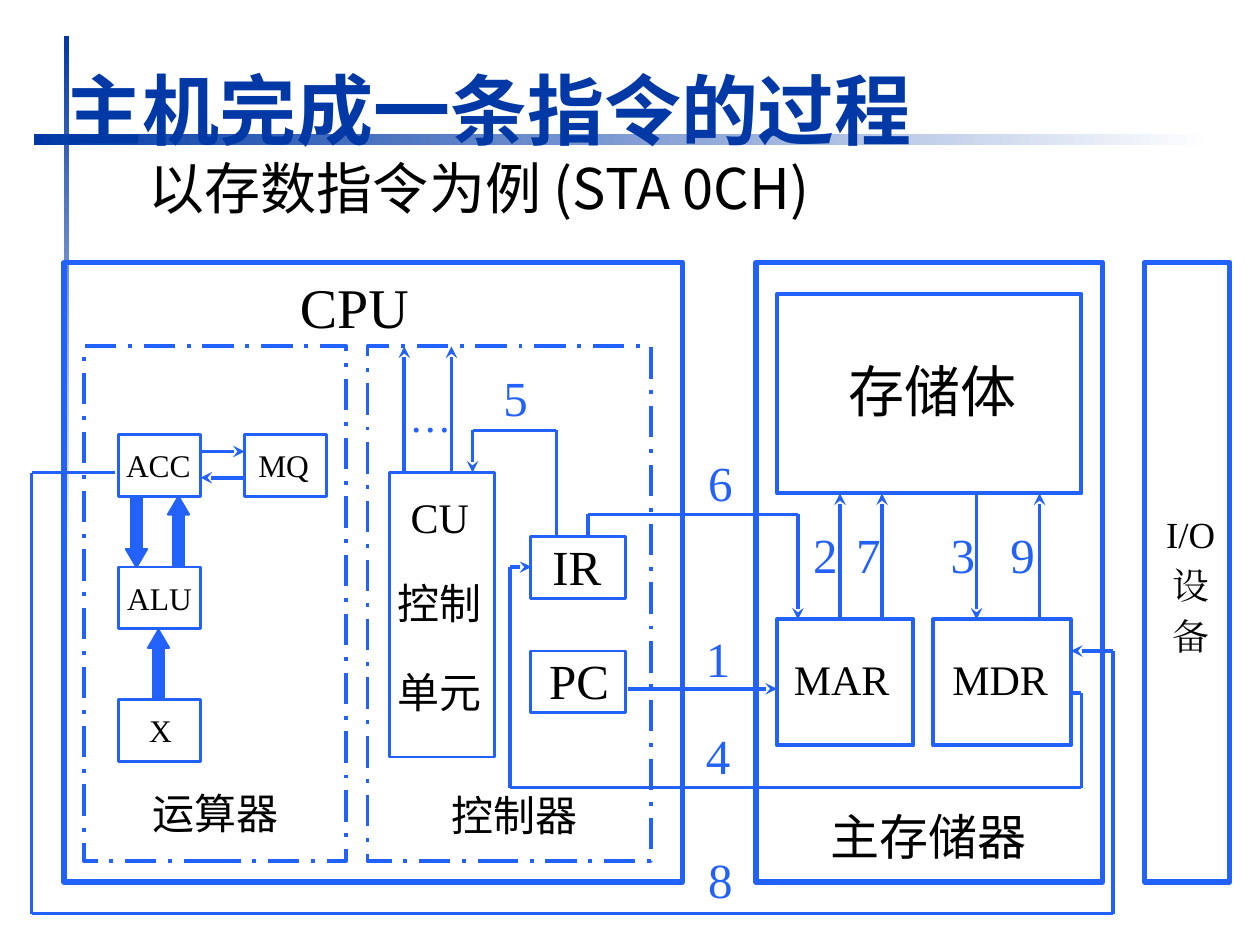
from itertools import pairwise

from lxml.etree import SubElement
from pptx import Presentation
from pptx.dml.color import RGBColor
from pptx.enum.dml import MSO_LINE
from pptx.enum.shapes import MSO_CONNECTOR, MSO_SHAPE
from pptx.enum.text import MSO_ANCHOR, MSO_AUTO_SIZE, PP_ALIGN
from pptx.oxml.ns import qn
from pptx.util import Inches, Pt

COLORS = {"navy": "0039A6", "blue": "2261FA", "black": "000000", "white": "FFFFFF"}
CJK, LATIN = "Noto Sans CJK SC", "Times New Roman"
COLUMNS, ROWS = 120, 90


def color(name):
    return RGBColor.from_string(COLORS[name])


def write(frame, text, size=24, font=LATIN, ink="black", bold=False,
          align=PP_ALIGN.LEFT, inset=True, wrap=True):
    """Fill a text frame, one paragraph per line of text."""
    frame.word_wrap = wrap
    frame.auto_size = MSO_AUTO_SIZE.SHAPE_TO_FIT_TEXT
    frame.vertical_anchor = MSO_ANCHOR.TOP
    if not inset:
        frame.margin_left = frame.margin_right = frame.margin_top = frame.margin_bottom = 0
    for index, line in enumerate(text.split("\n")):
        paragraph = frame.add_paragraph() if index else frame.paragraphs[0]
        paragraph.alignment = align
        paragraph.space_before = Pt(size * 0.2 if index else 0)
        run = paragraph.add_run()
        run.text = line
        run.font.size, run.font.name, run.font.bold = Pt(size), font, bold
        run.font.color.rgb = color(ink)
        SubElement(run.font._element, qn("a:ea")).set("typeface", font)


class Diagram:
    """A slide on a grid of COLUMNS by ROWS, with its drawing style."""

    def __init__(self, deck):
        self.slide = deck.slides.add_slide(deck.slide_layouts[5])
        self.shapes = self.slide.shapes
        self.column = deck.slide_width / COLUMNS
        self.row = deck.slide_height / ROWS

    def at(self, x, y):
        return round(x * self.column), round(y * self.row)

    def place(self, box):
        return *self.at(*box[:2]), *self.at(*box[2:])

    def title(self, text, box, **style):
        title = self.shapes.title
        title.left, title.top, title.width, title.height = self.place(box)
        write(title.text_frame, text, **style)

    def label(self, text, box, **style):
        write(self.shapes.add_textbox(*self.place(box)).text_frame, text, **style)

    def bar(self, box, angle):
        """Fading bar that lies behind everything else."""
        bar = self.shapes.add_shape(MSO_SHAPE.RECTANGLE, *self.place(box))
        bar.shadow.inherit = False
        bar.line.fill.background()
        bar.fill.gradient()
        bar.fill.gradient_angle = angle
        for stop, name, position in zip(bar.fill.gradient_stops, ("navy", "white"), (0, 1)):
            stop.color.rgb, stop.position = color(name), position
        self.shapes._spTree.insert(2, bar._element)

    def frame(self, box, weight, dash=None):
        frame = self.shapes.add_shape(MSO_SHAPE.RECTANGLE, *self.place(box))
        frame.shadow.inherit = False
        frame.fill.background()
        frame.line.color.rgb, frame.line.width = color("blue"), Pt(weight)
        if dash:
            frame.line.dash_style = dash

    def route(self, *stops):
        """Straight segments through the stops, with an arrowhead at the last."""
        for start, end in pairwise(stops):
            segment = self.shapes.add_connector(
                MSO_CONNECTOR.STRAIGHT, *self.at(*start), *self.at(*end))
            segment.line.color.rgb, segment.line.width = color("blue"), Pt(2.25)
            SubElement(segment._element.spPr, qn("a:effectLst"))
        SubElement(segment.line._get_or_add_ln(), qn("a:tailEnd")).set("type", "stealth")

    def block_arrow(self, x, tail, tip):
        neck = tip + (1.7 if tail > tip else -1.7)
        outline = [(x - 1, neck), (x - 0.5, neck), (x - 0.5, tail), (x + 0.5, tail),
                   (x + 0.5, neck), (x + 1, neck), (x, tip)]
        start, *rest = [self.at(*point) for point in outline]
        builder = self.shapes.build_freeform(*start)
        builder.add_line_segments(rest, close=True)
        arrow = builder.convert_to_shape()
        arrow.shadow.inherit = False
        arrow.fill.solid()
        arrow.fill.fore_color.rgb = arrow.line.color.rgb = color("blue")
        arrow.line.width = Pt(1.25)


FRAMES = {
    3: [(6.1, 25, 58.9, 59), (72, 25, 33, 59), (109, 25, 8.1, 59)],
    2.25: [(74, 28, 29, 19), (74, 59, 13, 12), (88.9, 59, 13.1, 12)],
    1.63: [(37.1, 45, 10, 27.1)]
    + [(50.5, y, 9.1, 5.9) for y in (51.1, 62)]
    + [(x, y, 7.8, 5.9) for x, y in ((11.3, 41.4), (23.3, 41.4), (11.3, 54), (11.3, 66.6))],
}
UNITS = [(8, 33, 25, 49), (35, 33, 27, 49)]

ROUTES = [
    [(59.8, 65.6), (74, 65.6)],
    [(80, 59), (80, 47)],
    [(93, 47), (93, 59)],
    [(102, 66), (103, 66), (103, 75), (48.6, 75), (48.6, 54), (50.6, 54)],
    [(53, 51), (53, 41), (45, 41), (45, 45)],
    [(56, 51), (56, 49), (76, 49), (76, 59)],
    [(84, 59), (84, 47)],
    [(11, 45), (3, 45), (3, 87), (106, 87), (106, 62), (102, 62)],
    [(99, 59), (99, 47)],
    [(38.5, 45), (38.5, 33)],
    [(43, 45), (43, 33)],
    [(19.1, 43), (23.3, 43)],
    [(23.3, 45.5), (19.1, 45.5)],
]
STEPS = [(66, 59.3), (76.2, 49.4), (89.3, 49.4), (66, 68.5), (46.7, 34.4),
         (66.2, 42.5), (80.3, 49.4), (66.2, 80.3), (95, 49.4)]

# text, box, size, font
LABELS = [
    ("CU", (39.1, 46.8, 11.9, 4.8), 24, LATIN),
    ("控制", (37.9, 55, 12.4, 4.8), 24, CJK),
    ("单元", (37.9, 63.5, 10.8, 4.8), 24, CJK),
    ("主存储器", (79.1, 76.8, 22.2, 5.6), 28, CJK),
    ("MDR", (90.7, 62.2, 12, 4.8), 24, LATIN),
    ("MAR", (75.6, 62.2, 13.1, 4.8), 24, LATIN),
    ("PC", (52.3, 62, 13.7, 5.6), 28, LATIN),
    ("IR", (52.6, 51.1, 12.5, 5.6), 28, LATIN),
    ("控制器", (43, 75.2, 17, 4.8), 24, CJK),
    ("运算器", (14.5, 75, 16.3, 4.8), 24, CJK),
    ("MQ", (24.6, 42.5, 8.6, 3.6), 18, LATIN),
    ("ACC", (12, 42.5, 11.2, 3.6), 18, LATIN),
    ("X", (14.2, 67.7, 5.6, 3.6), 18, LATIN),
]
CENTERED_LABELS = [
    ("CPU", (28.3, 26, 10.9, 6.4), 32),
    ("ALU", (12, 55.1, 6.4, 3.6), 18),
    ("I/O\n设\n备", (110.9, 48.7, 5, 14.3), 21),
]


def main():
    deck = Presentation()
    deck.slide_width, deck.slide_height = Inches(10), Inches(7.5)
    diagram = Diagram(deck)
    centered = {"align": PP_ALIGN.CENTER, "wrap": False}

    diagram.bar((3.2, 12.8, 112.4, 1), angle=0)
    diagram.bar((6.1, 3.4, 0.5, 50), angle=270)
    diagram.title("主机完成一条指令的过程", (5, 5.4, 87, 10.1),
                  size=44, font="Arial", ink="navy", bold=True)
    diagram.label("以存数指令为例 (STA 0CH)", (13, 14, 73.6, 7.7), size=32, font=CJK)

    for weight, boxes in FRAMES.items():
        for box in boxes:
            diagram.frame(box, weight)
    for box in UNITS:
        diagram.frame(box, 2.25, MSO_LINE.LONG_DASH_DOT)
    for stops in ROUTES:
        diagram.route(*stops)
    for x, tail, tip in ((13, 47.4, 54), (17, 53.9, 47.3), (15.1, 66.6, 60)):
        diagram.block_arrow(x, tail, tip)

    for text, box, size, font in LABELS:
        diagram.label(text, box, size=size, font=font, inset=False)
    for text, box, size in CENTERED_LABELS:
        diagram.label(text, box, size=size, inset=False, **centered)
    diagram.label("存储体", (79.6, 33.4, 18.4, 7.6), size=32, font=CJK, **centered)
    diagram.label("…", (37.8, 36.6, 6.4, 6), ink="blue", wrap=False)
    for number, corner in enumerate(STEPS, start=1):
        diagram.label(str(number), (*corner, 4.8, 6.8), size=28, ink="blue", **centered)

    deck.save("out.pptx")


if __name__ == "__main__":
    main()
